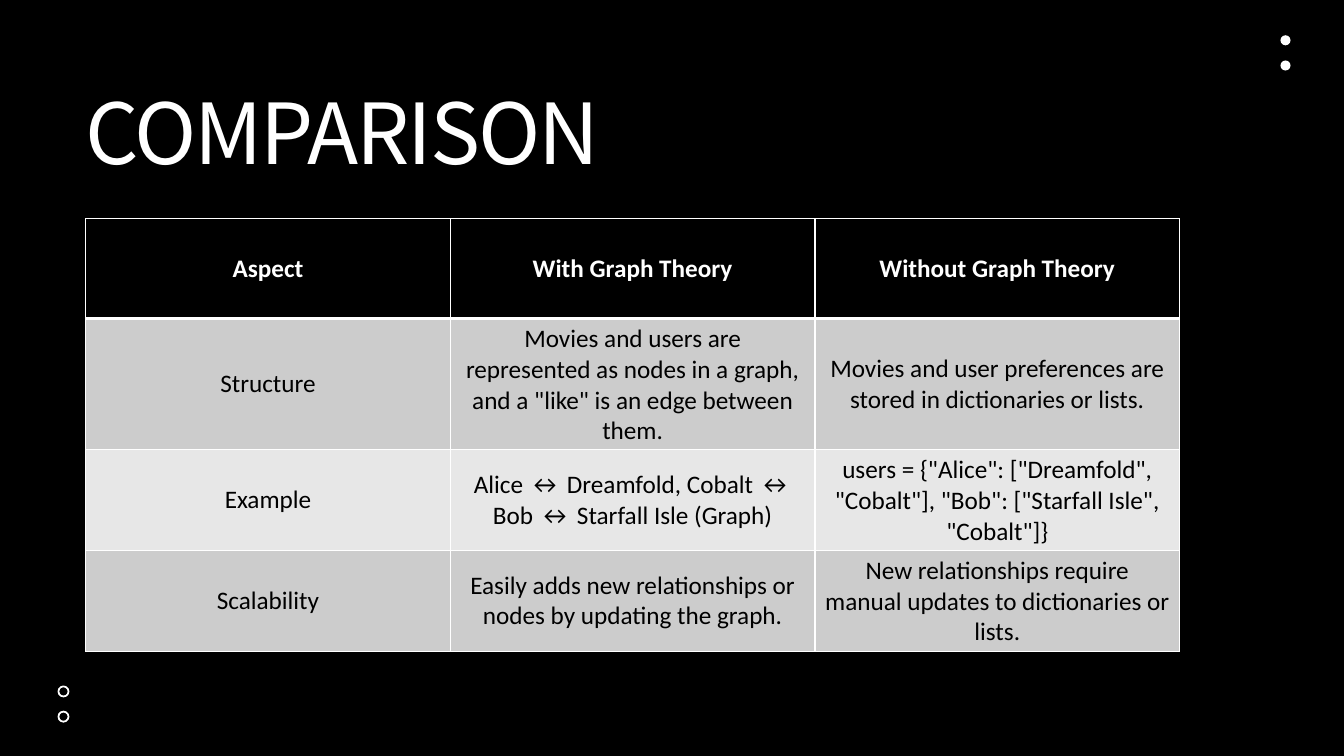
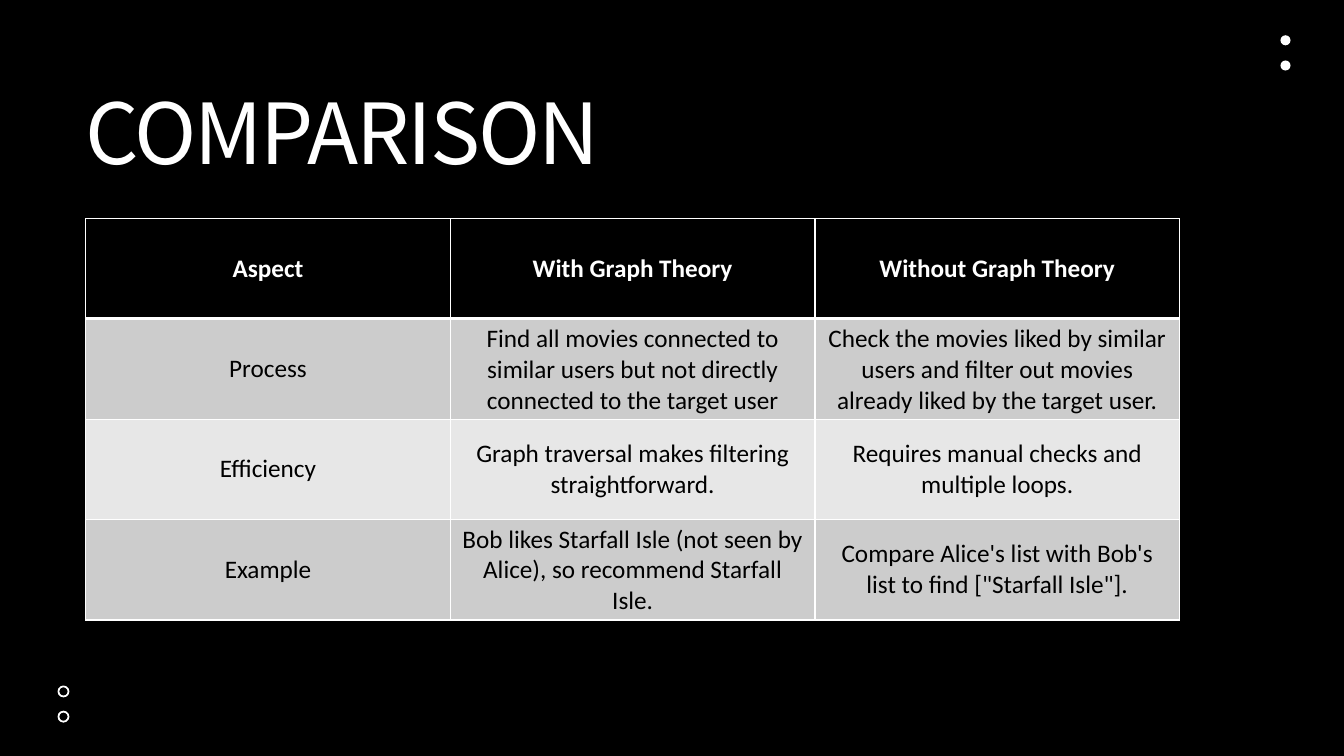
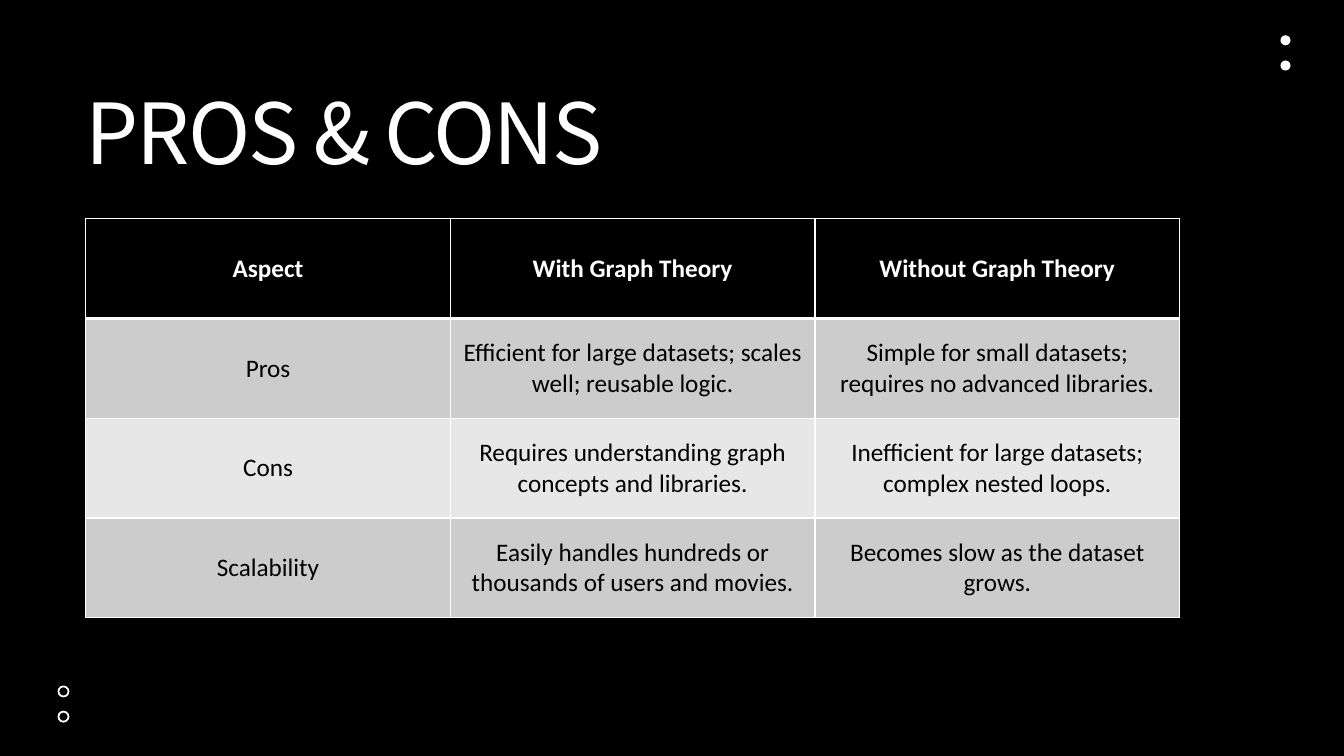
from dataclasses import dataclass

from pptx import Presentation
from pptx.dml.color import RGBColor as Color
from pptx.enum.shapes import MSO_SHAPE as Preset
from pptx.enum.text import MSO_ANCHOR as Anchor, PP_ALIGN as Align
from pptx.oxml import parse_xml
from pptx.oxml.ns import nsdecls
from pptx.util import Inches, Pt


@dataclass(frozen=True)
class Theme:
    black: str = "000000"
    white: str = "FFFFFF"
    bands: tuple = ("CCCCCC", "E7E7E7")
    title_font: str = "Noto Sans CJK JP"
    table_font: str = "Calibri"
    title_size: float = 60
    title_tracking: float = -1.5
    table_size: float = 18
    grid_line: float = 1
    header_line: float = 3
    ring_line: float = 1.25


HEADER = ("Aspect", "With Graph Theory", "Without Graph Theory")

SLIDES = (
    ("COMPARISON", (
        ("Structure",
         'Movies and users are represented as nodes in a graph, and a "like" is an edge between them.',
         "Movies and user preferences are stored in dictionaries or lists."),
        ("Example",
         "Alice ↔ Dreamfold, Cobalt ↔ Bob ↔ Starfall Isle (Graph)",
         'users = {"Alice": ["Dreamfold", "Cobalt"], "Bob": ["Starfall Isle", "Cobalt"]}'),
        ("Scalability",
         "Easily adds new relationships or nodes by updating the graph.",
         "New relationships require manual updates to dictionaries or lists."),
    )),
    ("COMPARISON", (
        ("Process",
         "Find all movies connected to similar users but not directly connected to the target user",
         "Check the movies liked by similar users and filter out movies already liked by the target user."),
        ("Efficiency",
         "Graph traversal makes filtering straightforward.",
         "Requires manual checks and multiple loops."),
        ("Example",
         "Bob likes Starfall Isle (not seen by Alice), so recommend Starfall Isle.",
         'Compare Alice\'s list with Bob\'s list to find ["Starfall Isle"].'),
    )),
    ("PROS & CONS", (
        ("Pros",
         "Efficient for large datasets; scales well; reusable logic.",
         "Simple for small datasets; requires no advanced libraries."),
        ("Cons",
         "Requires understanding graph concepts and libraries.",
         "Inefficient for large datasets; complex nested loops."),
        ("Scalability",
         "Easily handles hundreds or thousands of users and movies.",
         "Becomes slow as the dataset grows."),
    )),
)


class DeckBuilder:
    def __init__(self, theme):
        self.theme = theme
        self.deck = Presentation()
        self.deck.slide_width = Inches(13.33)
        self.deck.slide_height = Inches(7.5)
        self.paint(self.deck.slide_master.background.fill, theme.black)
        self.page = None

    def paint(self, fill, color):
        fill.solid()
        fill.fore_color.rgb = Color.from_string(color)

    def start_page(self):
        self.page = self.deck.slides.add_slide(self.deck.slide_layouts[6])
        self.dot_pair(12.7, 0.35, filled=True)
        self.dot_pair(0.58, 6.81, filled=False)

    def dot_pair(self, left, top, filled):
        for row in range(2):
            dot = self.page.shapes.add_shape(
                Preset.OVAL, Inches(left), Inches(top + row * 0.25), Inches(0.1), Inches(0.1))
            dot.shadow.inherit = False
            if filled:
                self.paint(dot.fill, self.theme.white)
                dot.line.fill.background()
            else:
                dot.fill.background()
                self.paint(dot.line.fill, self.theme.white)
                dot.line.width = Pt(self.theme.ring_line)

    def add_span(self, para, text, font, size, color, bold=False):
        span = para.add_run()
        span.text = text
        span.font.name = font
        span.font.size = Pt(size)
        span.font.bold = bold
        span.font.color.rgb = Color.from_string(color)
        return span

    def title(self, text):
        theme = self.theme
        box = self.page.shapes.add_textbox(Inches(0.85), Inches(0.41), Inches(13.08), Inches(2))
        frame = box.text_frame
        frame.word_wrap = True
        frame.vertical_anchor = Anchor.MIDDLE
        frame.margin_left = frame.margin_right = frame.margin_top = frame.margin_bottom = 0
        para = frame.paragraphs[0]
        para.line_spacing = 0.75
        span = self.add_span(para, text, theme.title_font, theme.title_size, theme.white)
        span._r.get_or_add_rPr().set("spc", str(int(theme.title_tracking * 100)))

    def borders(self, cell, top, bottom):
        grid = self.theme.grid_line
        properties = cell._tc.get_or_add_tcPr()
        for side, width in (("L", grid), ("R", grid), ("T", top), ("B", bottom)):
            properties.append(parse_xml(
                f'<a:ln{side} {nsdecls("a")} w="{Pt(width)}"><a:solidFill>'
                f'<a:srgbClr val="{self.theme.white}"/></a:solidFill></a:ln{side}>'))

    def table(self, rows):
        theme = self.theme
        count, columns = len(rows), len(rows[0])
        table = self.page.shapes.add_table(
            count, columns, Inches(0.85), Inches(2.17),
            Inches(10.85), Inches(0.99 * count)).table
        table.horz_banding = False
        for row, texts in enumerate(rows):
            header = row == 0
            top = theme.header_line if row == 1 else theme.grid_line
            bottom = theme.header_line if header else theme.grid_line
            fill = theme.black if header else theme.bands[(row - 1) % 2]
            color = theme.white if header else theme.black
            for column, text in enumerate(texts):
                cell = table.cell(row, column)
                self.borders(cell, top, bottom)
                self.paint(cell.fill, fill)
                cell.vertical_anchor = Anchor.MIDDLE
                para = cell.text_frame.paragraphs[0]
                para.alignment = Align.CENTER
                self.add_span(para, text, theme.table_font, theme.table_size, color, header)


def main():
    builder = DeckBuilder(Theme())
    for title, rows in SLIDES:
        builder.start_page()
        builder.title(title)
        builder.table((HEADER, *rows))
    builder.deck.save("out.pptx")


if __name__ == "__main__":
    main()
